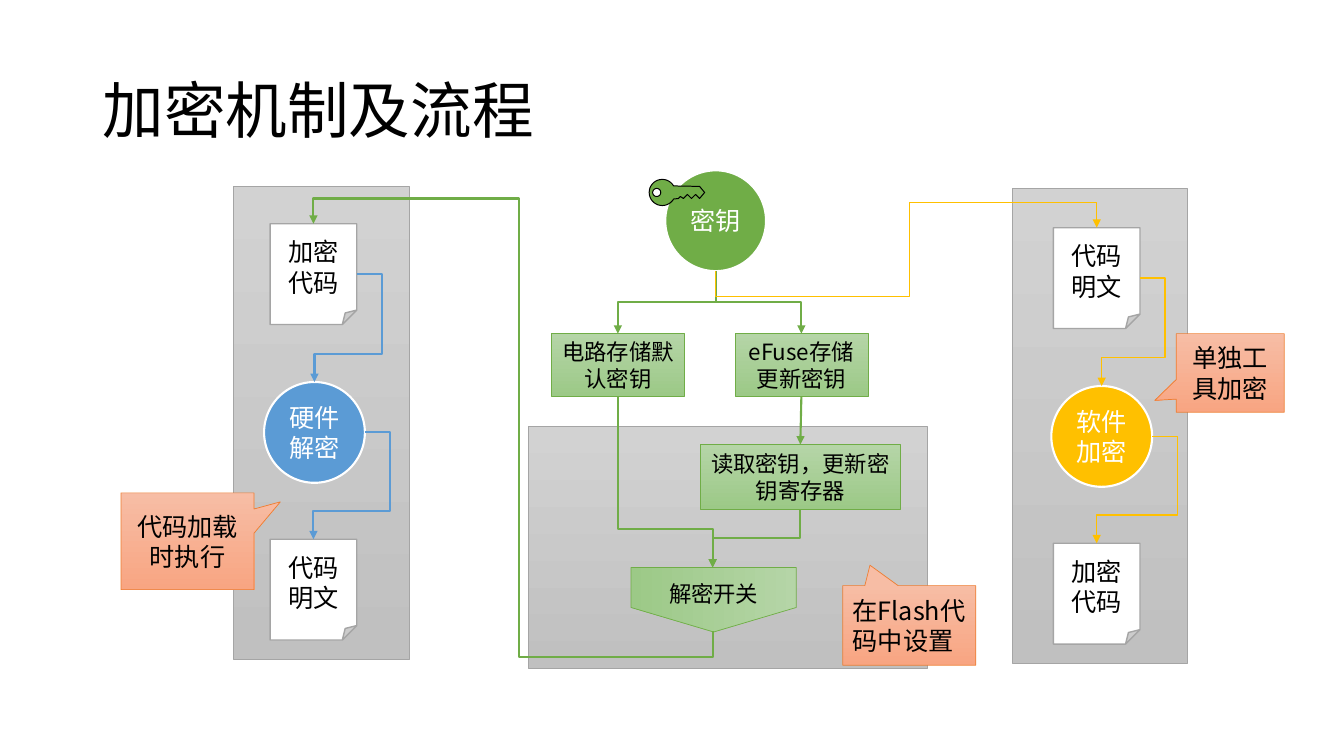
from dataclasses import dataclass
from math import cos, radians, sin

from lxml import etree
from pptx import Presentation
from pptx import util as u
from pptx.dml.color import RGBColor
from pptx.enum import shapes, text
from pptx.oxml.ns import qn

FONT = "Noto Sans CJK SC"
COLOURS = {
    "black": "000000", "white": "FFFFFF", "grey": "A5A5A5", "green": "70AD47",
    "blue": "5B9BD5", "gold": "FFC000", "orange": "ED7D31",
    "grey top": "D2D2D2", "grey base": "C0C0C0",
    "green top": "B5D5A7", "green base": "9CC987",
    "orange top": "F7BDA5", "orange base": "F8A582",
}
KIND = shapes.MSO_SHAPE
CENTER, LEFT = text.PP_ALIGN.CENTER, text.PP_ALIGN.LEFT

# Grid: 0.1 inch columns and rows; a document is 8.6 x 10, a circle 10 x 10
CELL = u.Inches(0.1)
COLUMNS, ROWS = 133.33, 75
DOC_WIDTH, SIZE, DETOUR = 8.6, 10, 2.5


@dataclass
class Node:
    box: tuple[float, float, float, float]
    label: str = ""
    kind: int = KIND.RECTANGLE
    fill: str = "green"          # a plain colour, or a "top"/"base" pair
    line: str = "green"
    width: float = 0.5
    size: int = 16
    ink: str = "black"
    align: int = CENTER
    adjust: tuple[float, ...] = ()
    turned: bool = False


@dataclass
class Route:
    start: tuple[float, float]
    end: tuple[float, float]
    bends: tuple[float, ...]     # alternating x and y of the middle segments
    colour: str = "green"
    width: float = 1.5
    downward: bool = True        # the first segment is vertical


@dataclass
class Lane:
    panel: tuple[float, float, float, float]
    doc_left: float
    circle_left: float
    top: float
    labels: tuple[str, str, str]
    colour: str
    width: float


def grid(value: float) -> int:
    return u.Emu(round(value * CELL))


def rgb(name: str) -> RGBColor:
    return RGBColor.from_string(COLOURS[name])


def write(box, label: str, size: int, ink: str, align: int):
    frame = box.text_frame
    frame.word_wrap = True
    frame.vertical_anchor = text.MSO_ANCHOR.MIDDLE
    para = frame.paragraphs[0]
    para.text, para.alignment = label, align
    para.font.size, para.font.name = u.Pt(size), FONT
    para.font.color.rgb = rgb(ink)
    for props in box.element.iter(qn("a:defRPr")):
        etree.SubElement(props, qn("a:ea")).set("typeface", FONT)
    return para


def paint(shape, fill: str, line: str, width: float) -> None:
    shape.shadow.inherit = False
    if f"{fill} top" in COLOURS and width == 0.5:
        shape.fill.gradient()
        shape.fill.gradient_angle = 270
        for stop, end in zip(shape.fill.gradient_stops, ("top", "base")):
            stop.color.rgb = rgb(f"{fill} {end}")
    else:
        shape.fill.solid()
        shape.fill.fore_color.rgb = rgb(fill)
    shape.line.color.rgb = rgb(line)
    shape.line.width = u.Pt(width)


def draw_node(page, node: Node):
    shape = page.shapes.add_shape(node.kind, *map(grid, node.box))
    paint(shape, node.fill, node.line, node.width)
    for index, value in enumerate(node.adjust):
        shape.adjustments[index] = value
    if node.label:
        write(shape, node.label, node.size, node.ink, node.align)
    if node.turned:
        shape.rotation = 90
        shape.text_frame._txBody.bodyPr.set("vert", "vert270")
    return shape


def style_arrow(arrow, colour: str, width: float) -> None:
    arrow.line.color.rgb = rgb(colour)
    arrow.line.width = u.Pt(width)
    props = arrow.element.spPr
    etree.SubElement(props.find(qn("a:ln")), qn("a:tailEnd")).set("type", "triangle")
    etree.SubElement(props, qn("a:effectLst"))


def draw_route(page, route: Route) -> None:
    (x0, y0), (x1, y1) = route.start, route.end
    dx, dy = x1 - x0, y1 - y0
    # A downward route is a sideways one turned by a quarter
    wide, high = (abs(dy), abs(dx)) if route.downward else (abs(dx), abs(dy))
    left, top = (x0 + x1 - wide) / 2, (y0 + y1 - high) / 2
    arrow = page.shapes.add_connector(
        shapes.MSO_CONNECTOR.ELBOW, *map(grid, (left, top, left + wide, top + high)))
    props = arrow.element.spPr
    flips = (dy < 0, dx > 0) if route.downward else (dx < 0, dy < 0)
    for name, flip in zip(("flipH", "flipV"), flips):
        if flip:
            props.xfrm.set(name, "1")
    if route.downward:
        props.xfrm.set("rot", "5400000")
    shape = props.find(qn("a:prstGeom"))
    shape.set("prst", f"bentConnector{len(route.bends) + 2}")
    guides = shape.find(qn("a:avLst"))
    for index, bend in enumerate(route.bends):
        along_y = route.downward == (index % 2 == 0)
        share = (bend - y0) / dy if along_y else (bend - x0) / dx
        guide = etree.SubElement(guides, qn("a:gd"))
        guide.set("name", f"adj{index + 1}")
        guide.set("fmla", f"val {round(share * 100000)}")
    style_arrow(arrow, route.colour, route.width)


def arc(x: float, y: float, radius: float, first: int, last: int) -> list:
    return [(grid(x + radius * cos(radians(a))), grid(y + radius * sin(radians(a))))
            for a in range(first, last + 1, 10)]


def draw_key(page) -> None:
    blade = [(67.3, 19.7), (67.5, 19.5), (67.8, 19.7), (68.2, 19.3), (68.6, 19.7),
             (69, 19.3), (69.4, 19.7), (69.9, 19.1), (69.4, 18.5)]
    bow = arc(65.7, 19.1, 1.3, 30, 330)
    outline = bow[::-1] + [(grid(x), grid(y)) for x, y in blade[::-1]]
    outline = bow + [(grid(x), grid(y)) for x, y in blade[::-1]]
    hole = arc(65.15, 19.1, 0.4, 0, 350)
    builder = page.shapes.build_freeform(*outline[0])
    builder.add_line_segments(outline[1:])
    builder.move_to(*hole[0])
    builder.add_line_segments(hole[1:])
    paint(builder.convert_to_shape(), "green", "black", 0.72)


def draw_lane(page, lane: Lane) -> None:
    draw_node(page, Node(lane.panel, fill="grey", line="grey"))
    first, middle, last = (lane.top + offset for offset in (0, 15.7, 31.3))
    for label, top in zip(lane.labels[::2], (first, last)):
        draw_node(page, Node((lane.doc_left, top, DOC_WIDTH, SIZE), label,
                             KIND.FOLDED_CORNER, "white", "grey", 1, 18))
    draw_node(page, Node((lane.circle_left, middle, SIZE, SIZE), lane.labels[1],
                         KIND.OVAL, lane.colour, "white", 1.5, 18, "white"))
    doc_mid, circle_mid = lane.doc_left + DOC_WIDTH / 2, lane.circle_left + SIZE / 2
    for right, top, target, end in (
            (lane.doc_left + DOC_WIDTH, first, circle_mid, middle),
            (lane.circle_left + SIZE, middle, doc_mid, last)):
        draw_route(page, Route((right, top + SIZE / 2), (target, end),
                               (right + DETOUR, end - 2.8), lane.colour, lane.width, False))


LANES = [
    Lane((100.4, 18.7, 17.4, 47.1), 104.5, 104.3, 22.6,
         ("代码明文", "软件加密", "加密代码"), "gold", 1),
    Lane((23.2, 18.5, 17.4, 46.9), 26.8, 26.2, 22.2,
         ("加密代码", "硬件解密", "代码明文"), "blue", 1.5),
]
NODES = {
    "flash": Node((52.4, 42.3, 39.6, 24), fill="grey", line="grey"),
    "circuit": Node((54.7, 33.1, 13.2, 6.2), "电路存储默认密钥"),
    "efuse": Node((72.9, 33.1, 13.2, 6.2), "eFuse存储更新密钥"),
    "register": Node((69.5, 44.1, 19.8, 6.4), "读取密钥，更新密钥寄存器"),
    "switch": Node((67.6, 51.3, 6.4, 16.4), "解密开关", KIND.PENTAGON,
                   adjust=(0.38,), turned=True),
    "key": Node((66, 16.9, SIZE, SIZE), "密钥", KIND.OVAL, "green", "white", 1.5, 18, "white"),
}
KEY_BASE, SWITCH_TOP = (71, 26.9), (70.7, 56.3)
ROUTES = [
    Route(KEY_BASE, (61.3, 33.1), (30,)),
    Route(KEY_BASE, (79.5, 33.1), (30,)),
    Route((61.3, 39.3), SWITCH_TOP, (52.5,)),
    Route((79.4, 50.5), SWITCH_TOP, (53.4,)),
    Route(KEY_BASE, (108.8, 22.6), (29.4, 90.2, 20.1), "gold", 1),
    Route((70.7, 62.6), (31.1, 22.2), (65.2, 51.5, 19.7)),
]
CALLOUTS = [
    ((116.7, 33.1, 10.7, 7.8), "单独工具加密", CENTER, (-0.7, 0.35)),
    ((83.6, 58.1, 13.2, 7.9), "在Flash代码中设置", LEFT, (-0.295, -0.757)),
    ((12, 48.9, 13.2, 9.6), "代码加载时执行", CENTER, (0.698, -0.407)),
]


def main() -> None:
    deck = Presentation()
    deck.slide_width, deck.slide_height = grid(COLUMNS), grid(ROWS)
    page = deck.slides.add_slide(deck.slide_layouts[6])

    # Title
    title = page.shapes.add_textbox(*map(grid, (9.2, 4, 115, 14.5)))
    write(title, "加密机制及流程", 44, "black", LEFT).line_spacing = 0.9

    # Key storage and the two code lanes
    drawn = {name: draw_node(page, node) for name, node in NODES.items()}
    draw_key(page)
    for lane in LANES:
        draw_lane(page, lane)

    # Arrows
    for route in ROUTES:
        draw_route(page, route)
    update = page.shapes.add_connector(shapes.MSO_CONNECTOR.STRAIGHT, 0, 0, 0, 0)
    update.begin_connect(drawn["efuse"], 2)
    update.end_connect(drawn["register"], 0)
    style_arrow(update, "green", 1.5)

    # Callouts
    for box, label, align, tip in CALLOUTS:
        draw_node(page, Node(box, label, KIND.RECTANGULAR_CALLOUT, "orange", "orange",
                             size=18, align=align, adjust=tip))

    deck.save("out.pptx")


if __name__ == "__main__":
    main()
